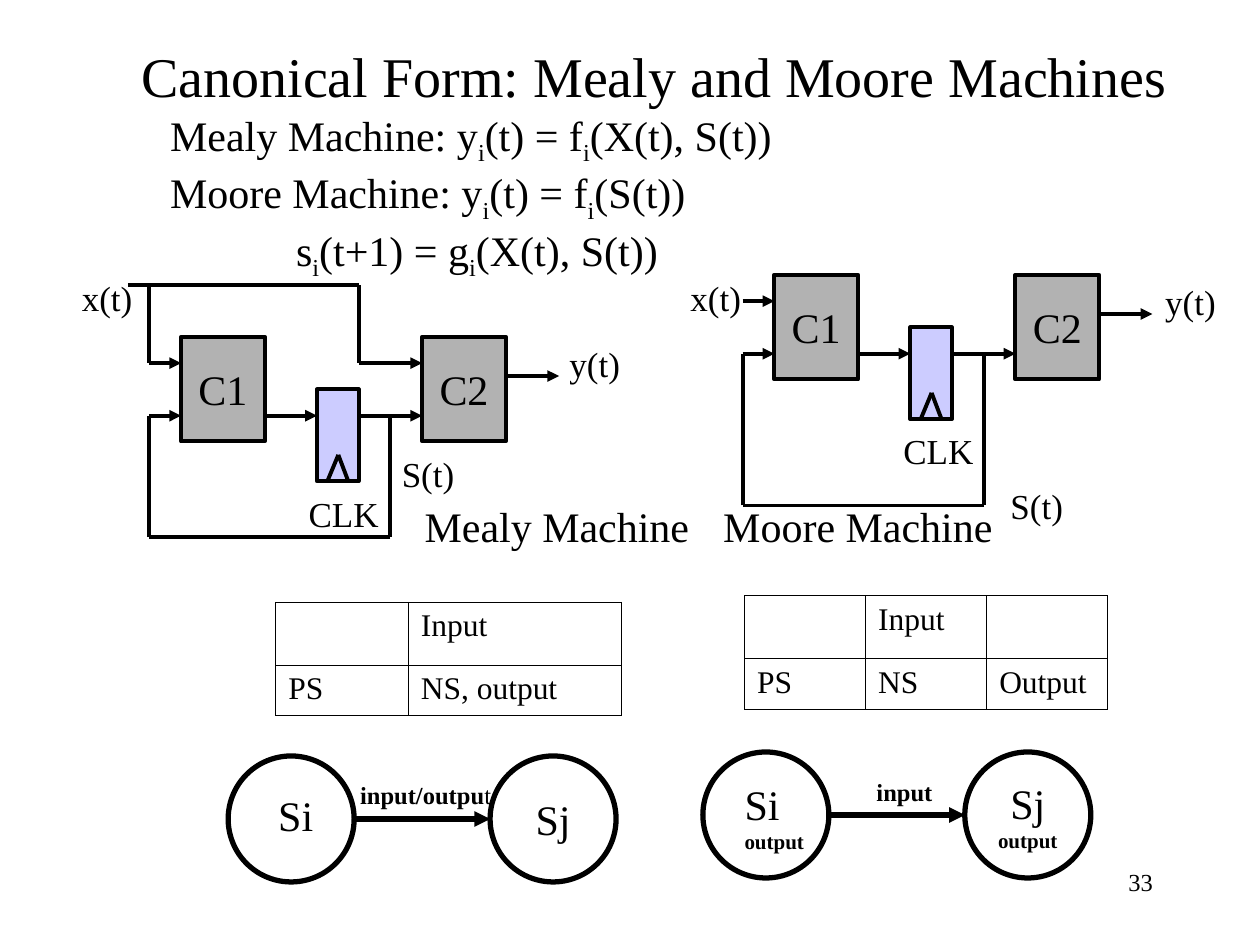
from itertools import pairwise
from lxml import etree
from pptx import Presentation
from pptx.dml.color import RGBColor
from pptx.enum.shapes import MSO_CONNECTOR, MSO_SHAPE
from pptx.enum.text import MSO_ANCHOR, MSO_AUTO_SIZE, PP_ALIGN
from pptx.oxml.ns import qn
from pptx.util import Cm, Pt

LEFT, MID, RIGHT = PP_ALIGN.LEFT, PP_ALIGN.CENTER, PP_ALIGN.RIGHT
CENTER, FIT = MSO_ANCHOR.MIDDLE, MSO_AUTO_SIZE.SHAPE_TO_FIT_TEXT
RECT, OVAL = MSO_SHAPE.RECTANGLE, MSO_SHAPE.OVAL
LINE = MSO_CONNECTOR.STRAIGHT
FONT = "Times New Roman"
HEX = {"ink": "000000", "paper": "FFFFFF", "gray": "B2B2B2", "lilac": "CCCCFF"}
RGB = {name: RGBColor.from_string(code) for name, code in HEX.items()}


def write(frame, paras, align=LEFT):
    for i, runs in enumerate(paras):
        para = frame.paragraphs[0] if i == 0 else frame.add_paragraph()
        para.alignment = align
        for text, size, bold, sub in runs:
            run = para.add_run()
            run.text = text
            run.font.name, run.font.size, run.font.bold = FONT, Pt(size), bold
            run.font.color.rgb = RGB["ink"]
            if sub:
                run._r.get_or_add_rPr().set("baseline", "-25000")


def wire(points, arrow=False, width=2.25):
    for start, end in pairwise(points):
        line = slide.shapes.add_connector(LINE, *[Cm(v) for v in (*start, *end)])
        line.line.width = Pt(width)
        line.line.color.rgb = RGB["ink"]
        props = line._element.spPr
        if arrow and end == points[-1]:
            etree.SubElement(props.find(qn("a:ln")), qn("a:tailEnd"), type="triangle")
        etree.SubElement(props, qn("a:effectLst"))


deck = Presentation()
deck.slide_width, deck.slide_height = Cm(25.4), Cm(19.05)
slide = deck.slides.add_slide(deck.slide_layouts[5])

title = slide.shapes.title
title.left, title.top, title.width, title.height = Cm(1.83), Cm(0), Cm(22.73), Cm(3.02)
title.text_frame.vertical_anchor = CENTER
write(title.text_frame, [[("Canonical Form: Mealy and Moore Machines", 32, False, False)]], MID)

rules = [
    ["Mealy Machine: y", "i", "(t) = f", "i", "(X(t), S(t))"],
    ["Moore Machine: y", "i", "(t) = f", "i", "(S(t))"],
    ["\ts", "i", "(t+1) = g", "i", "(X(t), S(t))"],
]
box = slide.shapes.add_textbox(Cm(3.18), Cm(2.08), Cm(13.2), Cm(3.73))
box.text_frame.auto_size = FIT
box.text_frame.word_wrap = True
write(box.text_frame, [[(t, 24, False, t == "i") for t in rule] for rule in rules])
tabs = etree.SubElement(box.text_frame.paragraphs[2]._p.get_or_add_pPr(), qn("a:tabLst"))
etree.SubElement(tabs, qn("a:tab"), pos=str(Cm(2.54)), algn="l")

labels = [
    ("x(t)", 1.4, 5.44, 1.8, 20),
    ("y(t)", 11.23, 6.78, 1.8, 20),
    ("S(t)", 7.85, 8.99, 1.8, 20),
    ("CLK", 5.97, 9.8, 2.2, 20),
    ("Mealy Machine", 8.31, 9.96, 6.2, 24),
    ("x(t)", 13.67, 5.44, 1.8, 20),
    ("y(t)", 23.24, 5.54, 1.8, 20),
    ("S(t)", 20.12, 9.65, 1.8, 20),
    ("CLK", 17.96, 8.53, 2.2, 20),
    ("Moore Machine", 14.33, 9.96, 6.2, 24),
]
for text, x, y, wide, size in labels:
    box = slide.shapes.add_textbox(Cm(x), Cm(y), Cm(wide), Cm(1.12 if size == 20 else 1.27))
    box.text_frame.auto_size = FIT
    box.text_frame.word_wrap = True
    write(box.text_frame, [[(text, size, False, False)]])

blocks = [
    ("C1", 0, 0, 1.69, 2.11, "gray"),
    ("C2", 4.86, 0, 1.69, 2.11, "gray"),
    ("", 2.74, 1.06, 0.84, 1.85, "lilac"),
]
paths = [
    ([(2.95, 2.91), (3.17, 2.38), (3.37, 2.91)], False),
    ([(1.69, 1.59), (2.74, 1.59)], True),
    ([(3.58, 1.59), (4.86, 1.59)], True),
    ([(6.55, 0.79), (7.62, 0.79)], True),
    ([(-0.64, 0.53), (0, 0.53)], True),
]
bypass = [
    ([(-1.07, -1.04), (3.58, -1.04), (3.58, 0.53), (4.86, 0.53)], True),
    ([(-0.64, -1.04), (-0.64, 0.53)], False),
]
for left, top, low, more in [(3.65, 6.79, 4.04, bypass), (15.61, 5.54, 4.65, [])]:
    for text, x, y, wide, high, fill in blocks:
        box = slide.shapes.add_shape(RECT, Cm(left + x), Cm(top + y), Cm(wide), Cm(high))
        box.shadow.inherit = False
        box.fill.solid()
        box.fill.fore_color.rgb = RGB[fill]
        box.line.color.rgb = RGB["ink"]
        box.line.width = Pt(2.25)
        if text:
            box.text_frame.word_wrap = False
            box.text_frame.vertical_anchor = CENTER
            write(box.text_frame, [[(text, 24, False, False)]], MID)
    loop = [(4.22, 1.59), (4.22, low), (-0.64, low), (-0.64, 1.59), (0, 1.59)]
    for points, arrow in paths + more + [(loop, True)]:
        wire([(left + x, top + y) for x, y in points], arrow)

tables = [
    (15.01, 12.01, [2.44, 2.44, 2.44], [["", "Input", ""], ["PS", "NS", "Output"]]),
    (5.56, 12.14, [2.67, 4.29], [["", "Input"], ["PS", "NS, output"]]),
]
for x, y, cols, rows in tables:
    grid = slide.shapes.add_table(2, len(cols), Cm(x), Cm(y), Cm(sum(cols)), Cm(2.29)).table
    grid.first_row = grid.horz_banding = False
    for col, wide in zip(grid.columns, cols):
        col.width = Cm(wide)
    for row, high, texts in zip(grid.rows, [1.27, 1.02], rows):
        row.height = Cm(high)
        for cell, text in zip(row.cells, texts):
            props = cell._tc.get_or_add_tcPr()
            for side in ("lnL", "lnR", "lnT", "lnB"):
                edge = etree.SubElement(props, qn("a:" + side), w=str(Pt(0.45)))
                fill = etree.SubElement(edge, qn("a:solidFill"))
                etree.SubElement(fill, qn("a:srgbClr"), val=HEX["ink"])
            cell.fill.background()
            if text:
                write(cell.text_frame, [[(text, 18, False, False)]])

out = [("output", 12, True, False)]
states = [
    (14.17, 15.16, [out], [("input", 14, True, False)], 17.42, 15.54, 2, 14.76, 15.57, 2),
    (4.6, 15.24, [], [("input/outpu", 14, True, False), ("t", 14, False, False)],
     7.01, 15.6, 3.5, 5.36, 15.8, 1.6),
]
for left, top, extra, edge, ex, ey, ew, sx, sy, sw in states:
    for x, paras in [(0, []), (5.28, [[("Sj", 24, False, False)], *extra])]:
        ring = slide.shapes.add_shape(OVAL, Cm(left + x), Cm(top), Cm(2.54), Cm(2.54))
        ring.shadow.inherit = False
        ring.fill.solid()
        ring.fill.fore_color.rgb = RGB["paper"]
        ring.line.color.rgb = RGB["ink"]
        ring.line.width = Pt(3)
        ring.text_frame.vertical_anchor = CENTER
        write(ring.text_frame, paras, MID)
    wire([(left + 2.54, top + 1.27), (left + 5.28, top + 1.27)], True, 3)
    name = [[("Si", 24, False, False)], *extra]
    tall = 1.78 if extra else 1.27
    for x, y, wide, high, paras in [(ex, ey, ew, 0.86, [edge]), (sx, sy, sw, tall, name)]:
        box = slide.shapes.add_textbox(Cm(x), Cm(y), Cm(wide), Cm(high))
        box.text_frame.auto_size = FIT
        box.text_frame.word_wrap = True
        write(box.text_frame, paras)

box = slide.shapes.add_textbox(Cm(18.21), Cm(17.35), Cm(5.28), Cm(1.27))
box.text_frame.word_wrap = True
write(box.text_frame, [[("33", 14, False, False)]], RIGHT)

deck.save("out.pptx")
